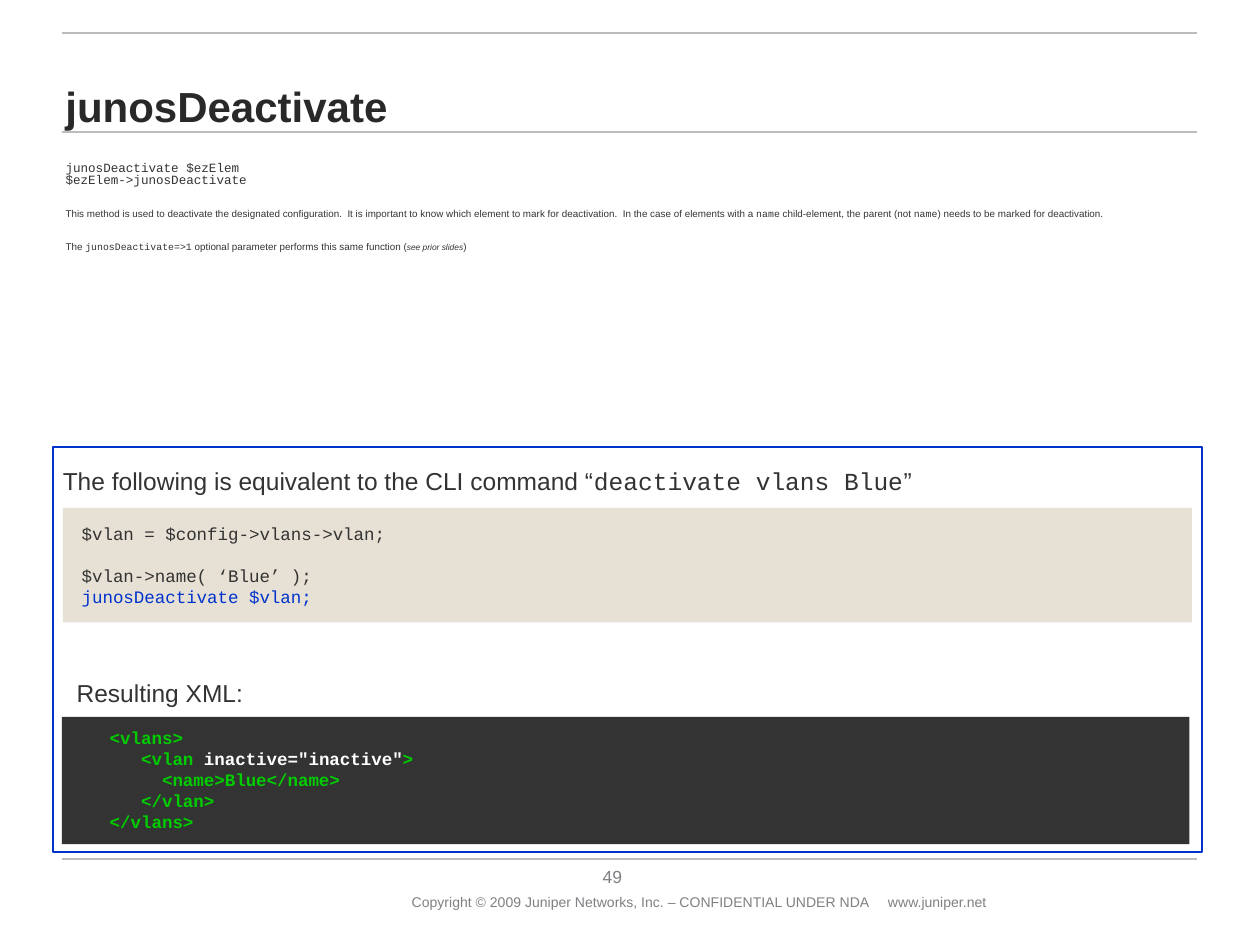
from lxml.etree import SubElement
from pptx import Presentation
from pptx.dml.color import RGBColor
from pptx.enum.shapes import MSO_CONNECTOR as Link, MSO_SHAPE as Shape
from pptx.enum.text import MSO_ANCHOR as Anchor, PP_ALIGN as Align
from pptx.oxml.ns import qn
from pptx.util import Pt

HEX = {
    "rule": "BABCBE", "foot": "807F83", "title": "292929", "text": "333333",
    "sand": "E7E1D5", "blue": "0033CC", "green": "00CC00", "white": "FFFFFF",
}
SANS, MONO = "Arial", "Courier New"
EDGE, END = 35.3, 684


def color(name):
    return RGBColor.from_string(HEX[name])


def style(font, face=None, size=None, hue=None, bold=None, italic=None):
    """Set only the font traits that are given."""
    if face:
        font.name = face
    if size:
        font.size = Pt(size)
    if hue:
        font.color.rgb = color(hue)
    if bold is not None:
        font.bold = bold
    if italic is not None:
        font.italic = italic


def rule(slide, y):
    line = slide.shapes.add_connector(
        Link.STRAIGHT, Pt(EDGE), Pt(y), Pt(END), Pt(y))
    line.line.color.rgb = color("rule")
    line.line.width = Pt(1)
    SubElement(line._element.spPr, qn("a:effectLst"))


def panel(slide, area, fill=None, edge=None):
    box = slide.shapes.add_shape(Shape.RECTANGLE, *map(Pt, area))
    box.shadow.inherit = False
    if fill:
        box.fill.solid()
        box.fill.fore_color.rgb = color(fill)
    else:
        box.fill.background()
    if edge:
        box.line.color.rgb = color(edge)
        box.line.width = Pt(1)
    else:
        box.line.fill.background()


def frame(slide, area, left=7.2, pad=3.6, right=7.2, wrap=True, anchor=Anchor.TOP):
    text = slide.shapes.add_textbox(*map(Pt, area)).text_frame
    text.word_wrap = wrap
    text.vertical_anchor = anchor
    text.margin_left, text.margin_right = Pt(left), Pt(right)
    text.margin_top = text.margin_bottom = Pt(pad)
    return text


def write(text, parts, **look):
    """Add a paragraph from a string, or from (string, changes) pairs."""
    para = text.paragraphs[0]
    if para.text:
        para = text.add_paragraph()
    if isinstance(parts, str):
        para.text = parts
    else:
        for words, change in parts:
            run = para.add_run()
            run.text = words
            style(run.font, **change)
    style(para.font, **look)
    return para


def header(slide):
    text = frame(slide, (37.4, 20.2, 647.3, 58.3), left=0, anchor=Anchor.BOTTOM)
    para = write(text, "junosDeactivate", face=SANS, size=24, hue="title", bold=True)
    para.line_spacing = 0.9
    para.space_after = Pt(6)


def body(slide):
    text = frame(slide, (28.8, 89.3, 647.3, 65.5), left=8.64)
    usage = write(text, "junosDeactivate $ezElem\v$ezElem->junosDeactivate",
                  face=MONO, size=7.2, hue="text")
    usage.line_spacing = 0.8
    usage.space_after = Pt(4)
    code = {"face": MONO}
    notes = [
        [("This method is used to deactivate the designated configuration.  "
          "It is important to know which element to mark for deactivation.  "
          "In the case of elements with a ", {}),
         ("name", code),
         (" child-element, the parent (not ", {}),
         ("name", code),
         (") needs to be marked for deactivation.", {})],
        [("The ", {}),
         ("junosDeactivate=>1", code),
         (" optional parameter performs this same function (", {}),
         ("see prior slides", {"size": 4.8, "italic": True}),
         (")", {})],
    ]
    for note in notes:
        para = write(text, note, face=SANS, size=5.6, hue="text")
        para.space_before, para.space_after = Pt(8), Pt(4)


def script(slide):
    panel(slide, (36, 290.2, 645.1, 65.5), fill="sand")
    text = frame(slide, (39.6, 295.2, 360, 55.4))
    look = {"face": MONO, "size": 10}
    write(text, "$vlan = $config->vlans->vlan;", hue="text", **look)
    name = write(text, "$vlan->name( ‘Blue’ );", hue="text", **look)
    name.space_before = Pt(12)
    write(text, "junosDeactivate $vlan;", hue="blue", **look)


def result(slide):
    panel(slide, (EDGE, 409.7, 644.4, 72.7), fill="text")
    text = frame(slide, (49.7, 411.8, 473, 67.7))
    lines = [
        " <vlans>",
        [("    <vlan ", {}), ('inactive="inactive"', {"hue": "white"}), (">", {})],
        "      <name>Blue</name>",
        "    </vlan>",
        " </vlans>",
    ]
    for line in lines:
        write(text, line, face=MONO, size=10, hue="green", bold=True)


def labels(slide):
    look = {"face": SANS, "size": 14, "hue": "text"}
    write(frame(slide, (36.7, 383.8, 631.4, 25.2)), "Resulting XML:", **look)
    text = frame(slide, (28.8, 262.8, 499.7, 24.5), wrap=False)
    write(text, [("The following is equivalent to the CLI command “", {}),
                 ("deactivate vlans Blue", {"face": MONO}),
                 ("”", {})], **look)


def footer(slide):
    text = frame(slide, (329, 491, 41.8, 15.8), left=0, pad=0, right=0,
                 wrap=False, anchor=Anchor.BOTTOM)
    page = write(text, "49", face=SANS, size=10, hue="foot")
    page.alignment = Align.CENTER
    text = frame(slide, (228.2, 506.9, 349.2, 17.3), wrap=False)
    write(text, "Copyright © 2009 Juniper Networks, Inc. – CONFIDENTIAL UNDER NDA"
                "     www.juniper.net", face=SANS, size=8, hue="foot")


def main():
    deck = Presentation()
    deck.slide_width, deck.slide_height = Pt(720), Pt(540)
    slide = deck.slides.add_slide(deck.slide_layouts[6])
    for y in (491, 75.6, 18.7):
        rule(slide, y)
    footer(slide)
    header(slide)
    body(slide)
    script(slide)
    result(slide)
    panel(slide, (30.2, 255.6, 656.6, 231.1), edge="blue")
    labels(slide)
    deck.save("out.pptx")


if __name__ == "__main__":
    main()
